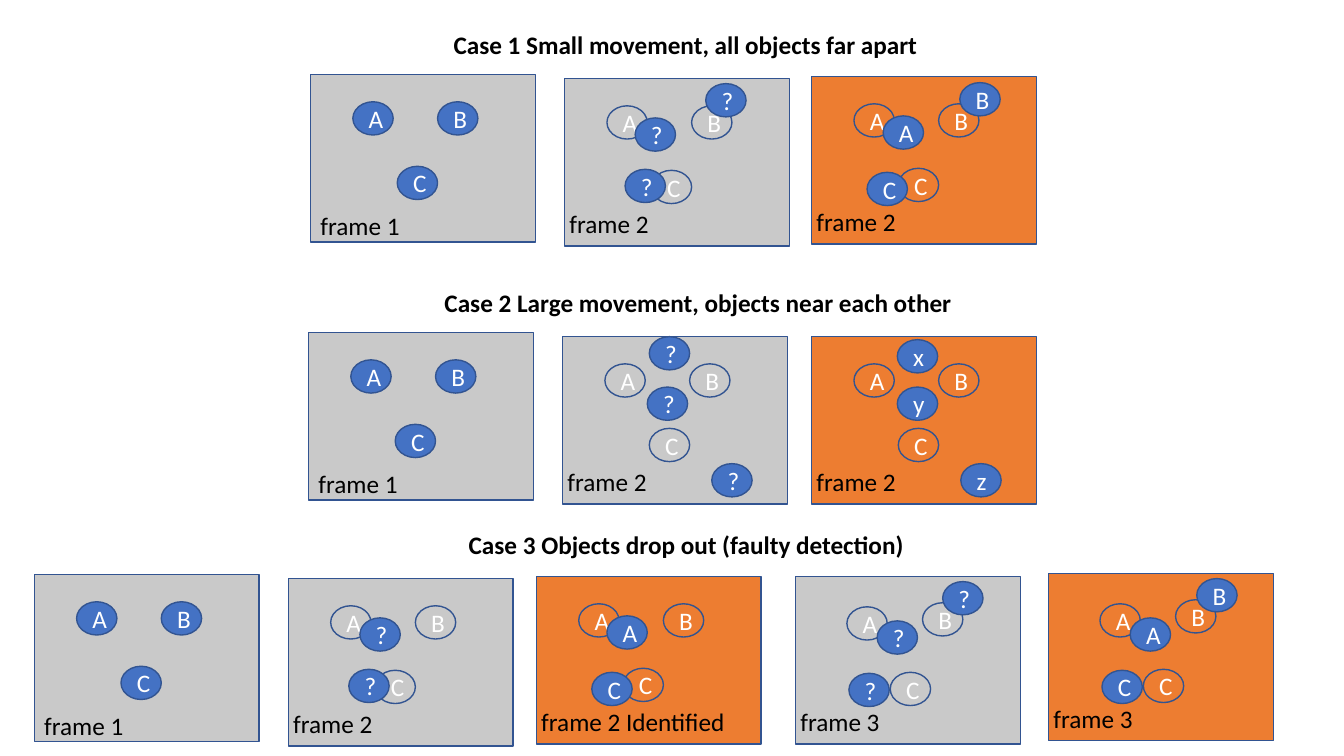
from pptx import Presentation
from pptx.dml.color import RGBColor
from pptx.enum.shapes import MSO_SHAPE
from pptx.enum.text import MSO_ANCHOR, MSO_AUTO_SIZE, PP_ALIGN
from pptx.util import Inches, Pt

RECTANGLE, OVAL = MSO_SHAPE.RECTANGLE, MSO_SHAPE.OVAL
MIDDLE, CENTER = MSO_ANCHOR.MIDDLE, PP_ALIGN.CENTER
FIT_SHAPE = MSO_AUTO_SIZE.SHAPE_TO_FIT_TEXT

COLORS = {
    "observed": "C9C9C9",
    "identified": "ED7D31",
    "object": "4472C4",
    "outline": "325491",
    "light": "FFFFFF",
    "dark": "000000",
}
FRAME_SIZE = (2.23, 1.66)
OBJECT_SIZE = (0.4, 0.33)
TEXT_HEIGHT = 0.4

# Positions inside a frame, measured from its top left corner
START = [("A", 0.42, 0.27), ("B", 1.26, 0.27), ("C", 0.86, 0.91)]
SECOND = [("A", 0.51, 0.3), ("B", 1.26, 0.26), ("C", 0.94, 0.95)]
FIRST_LABEL, LATER_LABEL = (0, 1.3), (-0.05, 1.24)

# Title, left, top, width
TITLES = [
    ("Case 1 Small movement, all objects far apart", 4.4, 0.24, 5.2),
    ("Case 2 Large movement, objects near each other", 4.31, 2.8, 5.81),
    ("Case 3 Objects drop out (faulty detection)", 4.55, 5.2, 5.2),
]
# Left and top of the frames in which tracking starts
FIRST_FRAMES = [(3.08, 0.74), (3.06, 3.3), (0.34, 5.7)]

# Left, top, kind, label, previous objects, current objects
LATER_FRAMES = [
    (5.6, 0.78, "observed", "frame 2", START,
     [("?", 0.7, 0.39), ("?", 1.4, 0.05), ("?", 0.6, 0.9)]),
    (8.05, 0.76, "identified", "frame 2", START,
     [("A", 0.71, 0.39), ("B", 1.47, 0.06), ("C", 0.55, 0.95)]),
    (5.58, 3.34, "observed", "frame 2", START,
     [("?", 0.86, 0), ("?", 0.84, 0.5), ("?", 1.48, 1.26)]),
    (8.05, 3.34, "identified", "frame 2", START,
     [("x", 0.85, 0.03), ("y", 0.85, 0.5), ("z", 1.48, 1.26)]),
    (2.86, 5.74, "observed", "frame 2", START,
     [("?", 0.71, 0.39), ("?", 0.6, 0.9)]),
    (5.32, 5.72, "identified", "frame 2 Identified", START,
     [("A", 0.7, 0.39), ("C", 0.55, 0.95)]),
    (7.89, 5.72, "observed", "frame 3", SECOND,
     [("?", 0.81, 0.44), ("?", 1.46, 0.05), ("?", 0.53, 0.96)]),
    (10.4, 5.69, "identified", "frame 3", SECOND,
     [("A", 0.81, 0.44), ("B", 1.47, 0.05), ("C", 0.53, 0.96)]),
]


def color(name):
    return RGBColor.from_string(COLORS[name])


def add_run(paragraph, text, color_name, bold=False):
    run = paragraph.add_run()
    run.text = text
    run.font.name = "Calibri"
    run.font.size = Pt(18)
    run.font.bold = bold
    run.font.color.rgb = color(color_name)


def add_outlined_shape(slide, kind, left, top, size, fill):
    """Add a preset shape; a fill of None leaves it hollow."""
    width, height = size
    shape = slide.shapes.add_shape(
        kind, Inches(left), Inches(top), Inches(width), Inches(height))
    shape.shadow.inherit = False
    if fill:
        shape.fill.solid()
        shape.fill.fore_color.rgb = color(fill)
    else:
        shape.fill.background()
    shape.line.color.rgb = color("outline")
    shape.line.width = Pt(1)
    return shape


def add_objects(slide, left, top, objects, fill):
    for name, x, y in objects:
        shape = add_outlined_shape(
            slide, OVAL, left + x, top + y, OBJECT_SIZE, fill)
        shape.text_frame.vertical_anchor = MIDDLE
        shape.text_frame.word_wrap = True
        paragraph = shape.text_frame.paragraphs[0]
        paragraph.alignment = CENTER
        add_run(paragraph, name, "light")


def add_text(slide, text, left, top, width, wrap=False, bold=False):
    box = slide.shapes.add_textbox(
        Inches(left), Inches(top), Inches(width), Inches(TEXT_HEIGHT))
    box.text_frame.word_wrap = wrap
    box.text_frame.auto_size = FIT_SHAPE
    add_run(box.text_frame.paragraphs[0], text, "dark", bold)


def add_frame(slide, left, top, kind, label, label_offset, previous, current):
    """Add a frame with hollow previous objects and filled current ones."""
    add_outlined_shape(slide, RECTANGLE, left, top, FRAME_SIZE, kind)
    add_objects(slide, left, top, previous, None)
    x, y = label_offset
    label_width = 2.04 if "Identified" in label else 1
    add_text(slide, label, left + x, top + y, label_width)
    add_objects(slide, left, top, current, "object")


def main():
    presentation = Presentation()
    presentation.slide_width = Inches(13.33)
    presentation.slide_height = Inches(7.5)
    slide = presentation.slides.add_slide(presentation.slide_layouts[6])

    for title, left, top, width in TITLES:
        add_text(slide, title, left, top, width, wrap=True, bold=True)
    for left, top in FIRST_FRAMES:
        add_frame(slide, left, top, "observed", "frame 1", FIRST_LABEL, [], START)
    for left, top, kind, label, previous, current in LATER_FRAMES:
        add_frame(slide, left, top, kind, label, LATER_LABEL, previous, current)

    presentation.save("out.pptx")


if __name__ == "__main__":
    main()
